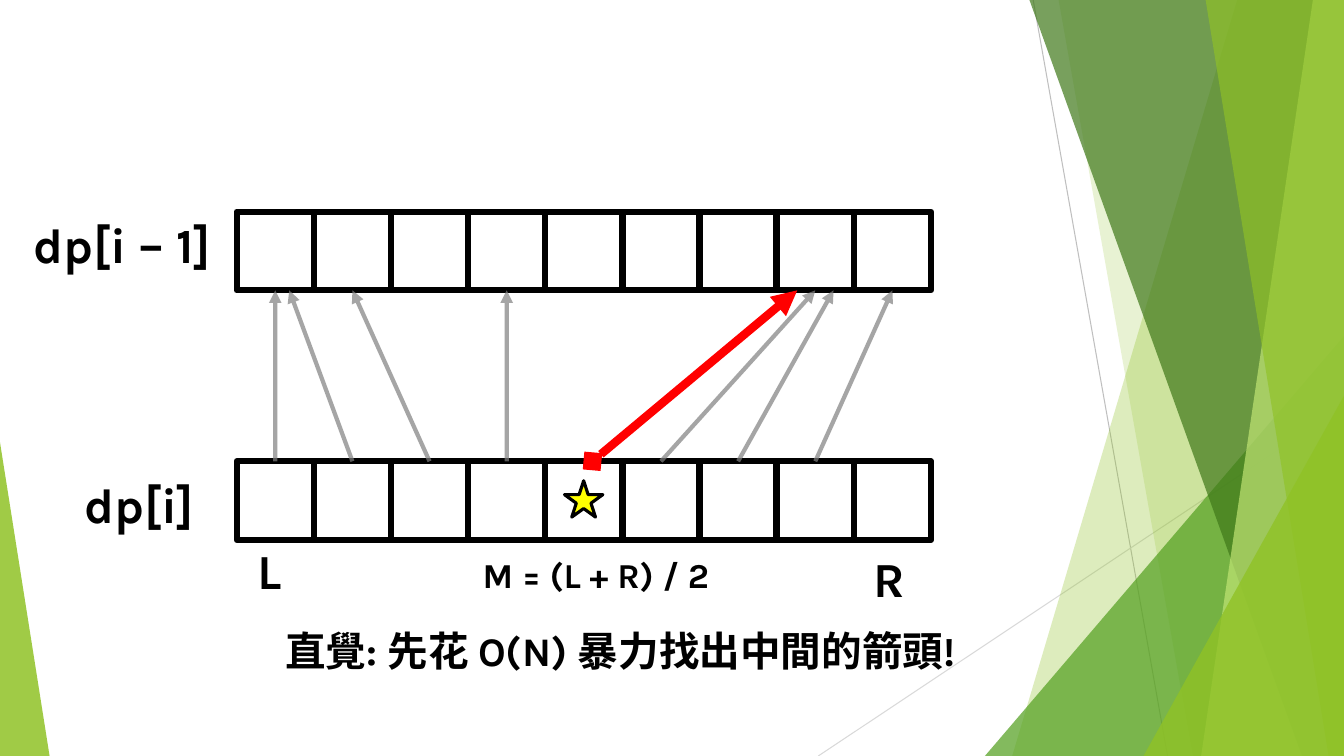
from lxml import etree
from pptx import Presentation
from pptx.dml.color import RGBColor
from pptx.enum import shapes, text
from pptx.oxml import ns
from pptx.util import Pt

WIDTH, HEIGHT = 960, 540

deck = Presentation()
deck.slide_width, deck.slide_height = Pt(WIDTH), Pt(HEIGHT)
page = deck.slides.add_slide(deck.slide_layouts[6])


def paint(item, fill=None, line=None, weight=1, alpha=100, head=None, tail=None):
    """Set fill, line, opacity and arrowheads of a shape or connector."""
    if hasattr(item, "fill"):
        item.shadow.inherit = False
        if fill:
            item.fill.solid()
            item.fill.fore_color.rgb = RGBColor.from_string(fill)
        else:
            item.fill.background()
    else:
        etree.SubElement(item._element.spPr, ns.qn("a:effectLst"))
    if line:
        item.line.color.rgb = RGBColor.from_string(line)
        item.line.width = Pt(weight)
    else:
        item.line.fill.background()
    if alpha < 100:
        color = item._element.spPr.find(".//" + ns.qn("a:srgbClr"))
        etree.SubElement(color, ns.qn("a:alpha"), val=str(alpha * 1000))
    for tag, kind in (("a:headEnd", head), ("a:tailEnd", tail)):
        if kind:
            etree.SubElement(item.line._get_or_add_ln(), ns.qn(tag), type=kind)


def write(words, left, top, width, height, size=35, font="Karla", color="000000"):
    """Add a bold text box."""
    box = page.shapes.add_textbox(Pt(left), Pt(top), Pt(width), Pt(height))
    box.text_frame.word_wrap = True
    box.text_frame.auto_size = text.MSO_AUTO_SIZE.SHAPE_TO_FIT_TEXT
    span = box.text_frame.paragraphs[0].add_run()
    span.text = words
    span.font.name, span.font.size, span.font.bold = font, Pt(size), True
    span.font.color.rgb = RGBColor.from_string(color)


# Thin background lines
for x1, y1, x2, y2, color in ((738, 0, 834, HEIGHT, "BFBFBF"),
                              (WIDTH, 290, 584.5, HEIGHT, "D9D9D9")):
    ray = page.shapes.add_connector(shapes.MSO_CONNECTOR.STRAIGHT,
                                    Pt(x1), Pt(y1), Pt(x2), Pt(y2))
    paint(ray, line=color, weight=0.75)

# Green facets: bands (top x, bottom x) reach the right edge,
# triangles (left, top, width, apex) reach the bottom edge
facets = (
    ("band", (884.3, 723), "90C226", 30),
    ("band", (756, 851.8), "90C226", 20),
    ("triangle", (703.5, 240, 256.5, 1), "54A021", 72),
    ("band", (735, 929.5), "3F7819", 70),
    ("band", (938.3, 858.3), "C0E474", 70),
    ("band", (861.2, 949), "90C226", 65),
    ("triangle", (816.8, 282.7, 143.2, 1), "90C226", 80),
    ("triangle", (0, 316, 35.4, 0), "90C226", 85),
)
for kind, place, color, alpha in facets:
    if kind == "band":
        top_x, bottom_x = place
        outline = page.shapes.build_freeform(top_x, -0.7, scale=Pt(1))
        outline.add_line_segments(
            [(WIDTH, -0.7), (WIDTH, HEIGHT), (bottom_x, HEIGHT)], close=True)
        facet = outline.convert_to_shape()
    else:
        left, top, width, apex = place
        facet = page.shapes.add_shape(shapes.MSO_SHAPE.ISOSCELES_TRIANGLE,
                                      Pt(left), Pt(top), Pt(width), Pt(HEIGHT - top))
        facet.adjustments[0] = apex
    paint(facet, fill=color, alpha=alpha)

# Two rows of cells
CELL, CELL_HEIGHT, ROW_LEFT = 55.1, 56.2, 169.1
UPPER, LOWER = 151.2, 329.5
rows = []
for top in (UPPER, LOWER):
    row = []
    for column in range(9):
        cell = page.shapes.add_shape(shapes.MSO_SHAPE.RECTANGLE,
                                     Pt(ROW_LEFT + column * CELL), Pt(top),
                                     Pt(CELL), Pt(CELL_HEIGHT))
        paint(cell, line="000000", weight=4.5)
        row.append(cell)
    rows.append(row)
upper_row, lower_row = rows

# Red arrow of the middle cell
arrow = page.shapes.add_connector(shapes.MSO_CONNECTOR.STRAIGHT, Pt(423.2), Pt(LOWER),
                                  Pt(569.5), Pt(UPPER + CELL_HEIGHT))
paint(arrow, line="FF0000", weight=6, head="diamond", tail="triangle")

# Grey arrows: lower cell, upper cell (None where the tip is off-centre), tip x
for start, end, tip in ((1, None, 206.6), (2, 1, 0), (3, 3, 0), (5, 7, 0),
                        (0, 0, 0), (7, 8, 0), (6, None, 595.4)):
    arrow = page.shapes.add_connector(shapes.MSO_CONNECTOR.STRAIGHT, Pt(0), Pt(0),
                                      Pt(tip), Pt(UPPER + CELL_HEIGHT))
    arrow.begin_connect(lower_row[start], 0)
    if end is not None:
        arrow.end_connect(upper_row[end], 2)
    paint(arrow, line="7F7F7F", weight=3, alpha=70, tail="triangle")

# Star in the middle cell
star = page.shapes.add_shape(shapes.MSO_SHAPE.STAR_5_POINT,
                             Pt(403.2), Pt(343.4), Pt(27.4), Pt(26))
paint(star, fill="FFFF00", line="000000", weight=2.25)

# Labels
write("dp[i – 1]", 16.6, 149.8, 184.3, 49.7)
write("dp[i]", 53.3, 335.5, 184.3, 49.7)
write("M = (L + R) / 2", 337.7, 391.7, 221.8, 37.4, size=25)
write("L", 177.1, 382.3, 103, 49.7)
write("R", 617, 388.1, 103, 49.7)
write("直覺: 先花 O(N) 暴力找出中間的箭頭!", 196.6, 443.5, 630.7, 42.5, size=29)

deck.save("out.pptx")
